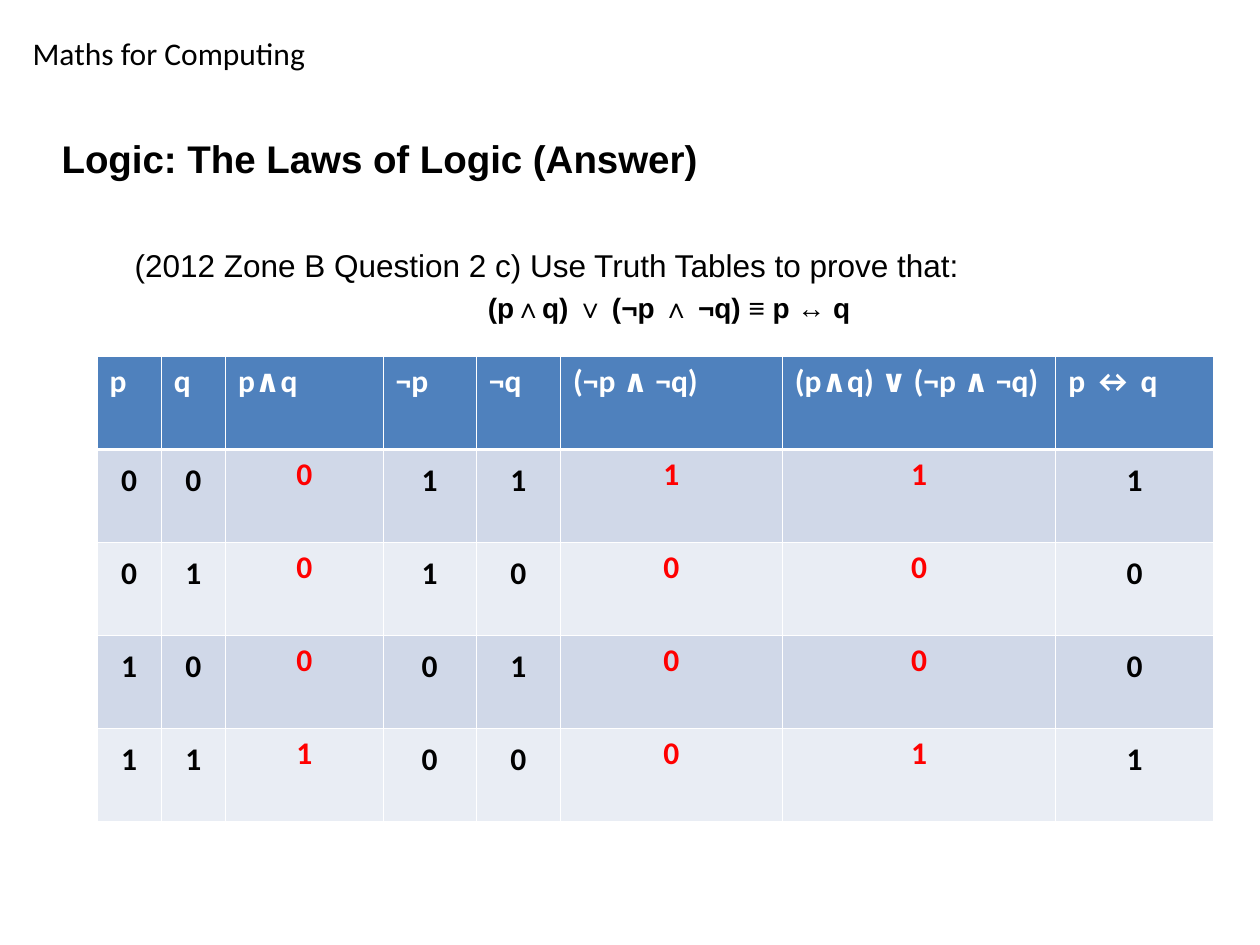
"""Build the truth table slide for the laws of logic."""
from lxml.etree import SubElement as Sub
from pptx import Presentation
from pptx.dml.color import RGBColor as RGB
from pptx.enum.text import PP_ALIGN as Align
from pptx.oxml.ns import qn
from pptx.util import Inches, Pt


def hue(code):
    return RGB.from_string(code)


def put(para, text, color="000000", **form):
    run = para.add_run()
    run.text = text
    run.font.color.rgb = hue(color)
    for key, val in form.items():
        setattr(run.font, key, val)


deck = Presentation()
deck.slide_width, deck.slide_height = Inches(10), Inches(7.5)
slide = deck.slides.add_slide(deck.slide_layouts[6])

boxes = {
    "course": (0.16, 0.22, 6.91, 0.4),
    "title": (0.39, 1.02, 8.12, 0.43),
    "task": (0.5, 1.9, 9.15, 5.6),
}
frames = {}
for name, place in boxes.items():
    frames[name] = slide.shapes.add_textbox(*map(Inches, place)).text_frame
    frames[name].word_wrap = True

put(frames["course"].paragraphs[0], "Maths for Computing",
    size=Pt(18), name="Calibri")
put(frames["title"].paragraphs[0], "Logic: The Laws of Logic (Answer)",
    size=Pt(22), name="Arial", bold=True)

task = frames["task"].paragraphs[0]
put(task, "(2012 Zone B Question 2 c) Use Truth Tables to prove that:",
    size=Pt(18), name="Arial")
claim = frames["task"].add_paragraph()
claim.alignment = Align.CENTER
claim.space_before = Pt(4)
for para in (task, claim):
    para.level = 1
    props = para._p.get_or_add_pPr()
    props.set("marL", str(Inches(0.47)))
    props.set("indent", "0")

parts = ["(p", "∧", "q) ", "∨ ", "(¬p ", "∧", " ¬q) ", "≡", " p ", "↔ ", "q"]
for num, part in enumerate(parts):
    put(claim, part, size=Pt(16), name="Arial", bold=num % 2 == 0)

heads = ["p", "q", "p∧q", "¬p", "¬q", "(¬p ∧ ¬q)", "(p∧q) ∨ (¬p ∧ ¬q)", "p ↔ q"]
rows = [heads, "00011111", "01010000", "10001000", "11100011"]
wides = [0.51, 0.51, 1.25, 0.74, 0.67, 1.76, 2.17, 1.25]
fills = ["E9EDF4", "D0D8E8"]
worked = (2, 5, 6)
slim = (0, 1, 3, 4)
shape = slide.shapes.add_table(
    len(rows), len(heads), *map(Inches, (0.77, 2.83, sum(wides), 3.69)))
table = shape.table
for col, wide in zip(table.columns, wides):
    col.width = Inches(wide)

for r, row in enumerate(rows):
    for c, text in enumerate(row):
        cell = table.cell(r, c)
        para = cell.text_frame.paragraphs[0]
        color = "FFFFFF"
        if r:
            color = "FF0000" if c in worked else "000000"
            para.alignment = Align.CENTER
            if c not in worked:
                para.line_spacing = 1.15
                para.space_after = Pt(8)
            if c in slim:
                cell.margin_left = cell.margin_right = Inches(0.08)
        put(para, text, color, size=Pt(18), name="Calibri", bold=True)

        props = cell._tc.get_or_add_tcPr()
        for side in "LRTB":
            thick = (r, side) in ((0, "B"), (1, "T"))
            line = Sub(props, qn("a:ln" + side),
                       w=str(Pt(1.47 if thick else 0.45)))
            Sub(Sub(line, qn("a:solidFill")), qn("a:srgbClr"), val="FFFFFF")
        cell.fill.solid()
        cell.fill.fore_color.rgb = hue(fills[r % 2] if r else "4F81BD")

deck.save("out.pptx")
